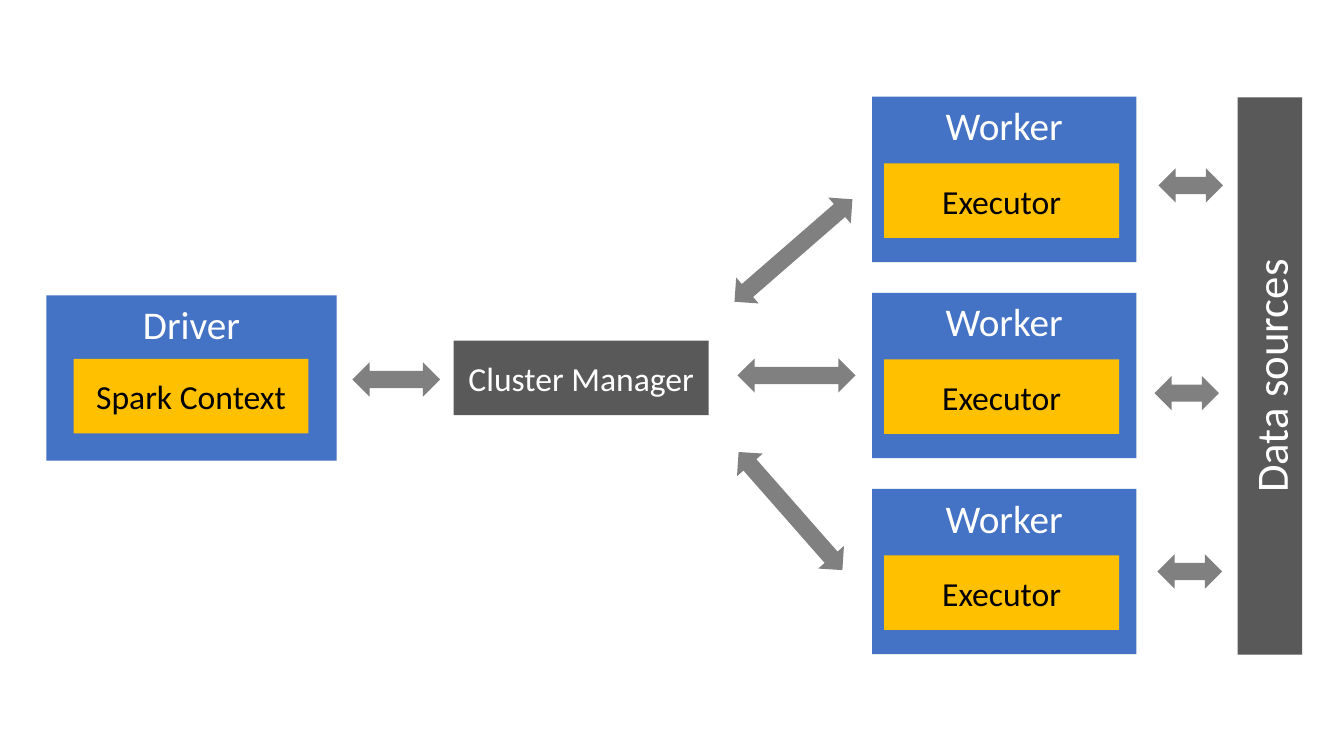
"""Draw a Spark cluster: driver, manager, workers and data sources."""
import dataclasses

import pptx
import pptx.dml.color
import pptx.enum.shapes
import pptx.enum.text
import pptx.util

Inches = pptx.util.Inches
SHAPES = pptx.enum.shapes.MSO_SHAPE
ANCHOR = pptx.enum.text.MSO_ANCHOR
COLORS = {
    "blue": "4472C4",
    "gold": "FFC000",
    "dark": "595959",
    "gray": "808080",
    "white": "FFFFFF",
    "black": "000000",
}


@dataclasses.dataclass
class Box:
    text: str
    left: float
    top: float
    width: float
    height: float
    fill: str
    size: int
    ink: str = "white"
    anchor: ANCHOR = ANCHOR.MIDDLE
    turn: float = 0


@dataclasses.dataclass
class Arrow:
    left: float
    top: float
    length: float
    turn: float = 90


def color(name: str) -> pptx.dml.color.RGBColor:
    return pptx.dml.color.RGBColor.from_string(COLORS[name])


def add_shape(slide, kind: SHAPES, left: float, top: float, width: float,
              height: float, fill: str, turn: float):
    shape = slide.shapes.add_shape(
        kind, Inches(left), Inches(top), Inches(width), Inches(height))
    shape.shadow.inherit = False
    shape.fill.solid()
    shape.fill.fore_color.rgb = color(fill)
    shape.line.fill.background()
    shape.rotation = turn
    return shape


def draw_box(slide, box: Box) -> None:
    shape = add_shape(slide, SHAPES.RECTANGLE, box.left, box.top, box.width,
                      box.height, box.fill, box.turn)
    frame = shape.text_frame
    frame.text = box.text
    frame.word_wrap = True
    frame.vertical_anchor = box.anchor
    line = frame.paragraphs[0]
    line.alignment = pptx.enum.text.PP_ALIGN.CENTER
    font = line.runs[0].font
    font.name = "Calibri"
    font.size = pptx.util.Pt(box.size)
    font.color.rgb = color(box.ink)


def draw_arrow(slide, arrow: Arrow) -> None:
    add_shape(slide, SHAPES.UP_DOWN_ARROW, arrow.left, arrow.top, 0.34,
              arrow.length, "gray", arrow.turn)


def outer(text: str, left: float, top: float, width: float) -> Box:
    return Box(text, left, top, width, 1.64, "blue", 28, anchor=ANCHOR.TOP)


def inner(text: str, left: float, top: float) -> Box:
    return Box(text, left, top, 2.33, 0.74, "gold", 24, "black")


def main() -> None:
    deck = pptx.Presentation()
    deck.slide_width = Inches(13.33)
    deck.slide_height = Inches(7.5)
    slide = deck.slides.add_slide(deck.slide_layouts[6])

    boxes = [
        outer("Driver", 0.46, 2.93, 2.88),
        inner("Spark Context", 0.73, 3.56),
        Box("Cluster Manager", 4.5, 3.38, 2.53, 0.74, "dark", 24),
        Box("Data sources", 9.83, 3.41, 5.53, 0.64, "dark", 32, turn=270),
    ]
    for row in range(3):
        top = 0.96 + row * 1.945
        boxes.append(outer("Worker", 8.65, top, 2.62))
        boxes.append(inner("Executor", 8.77, top + 0.66))
    for box in boxes:
        draw_box(slide, box)

    arrows = [
        Arrow(3.76, 3.33, 0.87),
        Arrow(7.73, 3.14, 1.17),
        Arrow(7.7, 1.71, 1.55, 49),
        Arrow(7.67, 4.29, 1.56, 138.7),
        Arrow(11.64, 1.52, 0.64),
        Arrow(11.6, 3.58, 0.64),
        Arrow(11.63, 5.35, 0.64),
    ]
    for arrow in arrows:
        draw_arrow(slide, arrow)

    deck.save("out.pptx")


if __name__ == "__main__":
    main()
